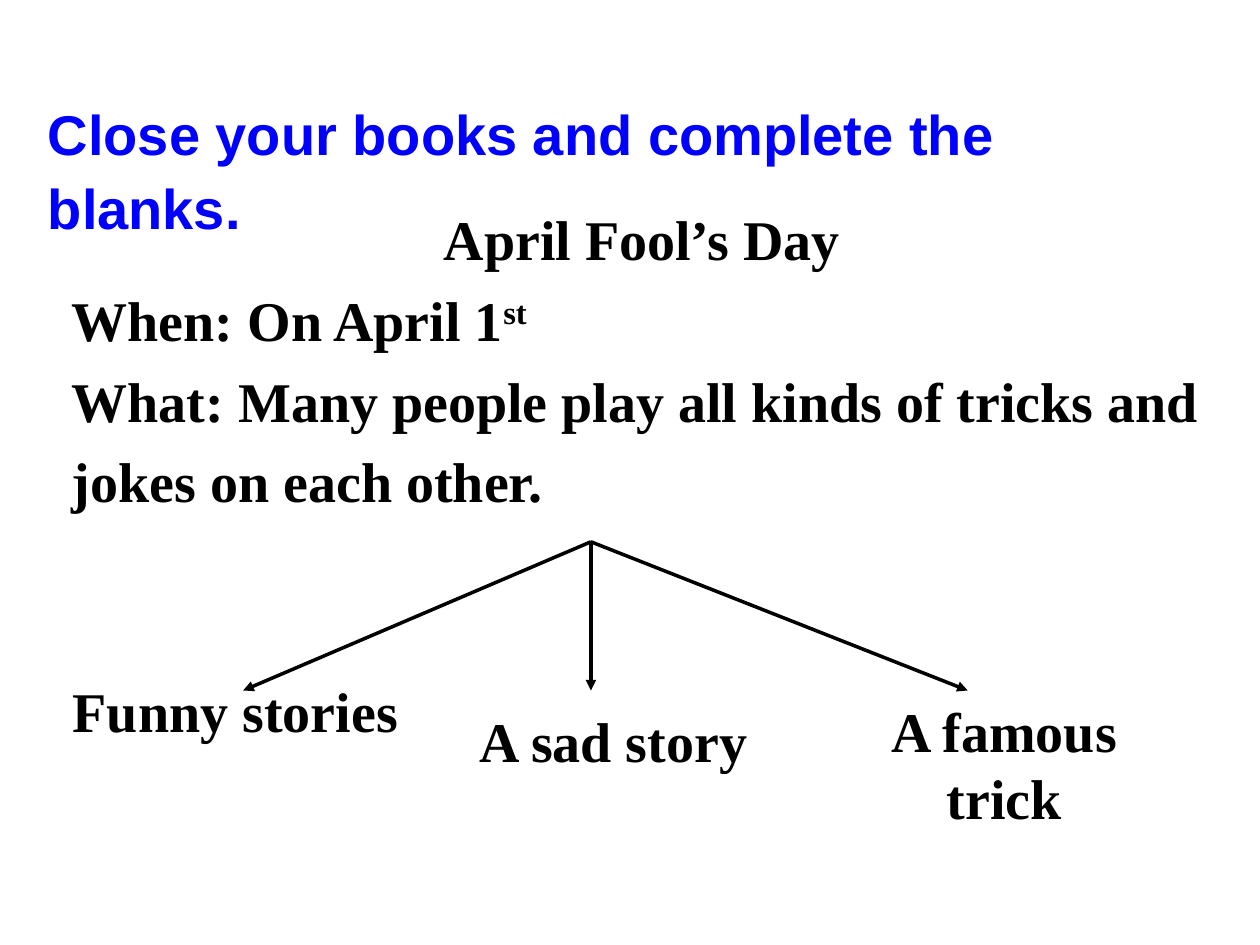
from lxml.etree import SubElement
from pptx import Presentation
from pptx.dml.color import RGBColor
from pptx.enum.shapes import MSO_CONNECTOR
from pptx.enum.text import MSO_ANCHOR, MSO_AUTO_SIZE, PP_ALIGN
from pptx.oxml.ns import qn
from pptx.util import Inches, Pt

THEME = {
    "title": {"name": "Arial", "size": Pt(32), "bold": True, "color": RGBColor(0, 0, 255)},
    "body": {"name": "Times New Roman", "size": Pt(32), "bold": True, "color": RGBColor(0, 0, 0)},
    "line": {"width": Pt(2), "color": RGBColor(0, 0, 0)},
}

TITLE = [(PP_ALIGN.LEFT, [("Close your books and complete the blanks.", False)])]
SUMMARY = [
    (PP_ALIGN.CENTER, [("April Fool’s Day", False)]),
    (PP_ALIGN.LEFT, [("When: On April 1", False), ("st", True)]),
    (PP_ALIGN.LEFT, [("What: Many people play all kinds of tricks and jokes on each other.", False)]),
]
BRANCHES = [
    ("Funny stories", 0.47, 5.32, 1.26, 1.93),
    ("A sad story", 3.47, 5.56, 0.63, 4.69),
    ("A famous trick", 6.57, 5.48, 1.26, 7.68),
]
BRANCH_WIDTH = 2.8
FORK = (4.69, 4.3)
ARROW_BOTTOM = 5.48


def place(sp, left, top, width, height):
    box = {"left": left, "top": top, "width": width, "height": height}
    for key, value in box.items():
        setattr(sp, key, Inches(value))


def write(sp, paragraphs, style, spacing=1.0):
    tf = sp.text_frame
    frame = {"word_wrap": True, "auto_size": MSO_AUTO_SIZE.NONE, "vertical_anchor": MSO_ANCHOR.TOP}
    for key, value in frame.items():
        setattr(tf, key, value)
    for i, (align, runs) in enumerate(paragraphs):
        p = tf.paragraphs[0] if i == 0 else tf.add_paragraph()
        layout = {"alignment": align, "line_spacing": spacing, "space_before": Pt(0)}
        for key, value in layout.items():
            setattr(p, key, value)
        pPr = p._p.get_or_add_pPr()
        pPr.set("marL", "0")
        pPr.set("indent", "0")
        SubElement(pPr, qn("a:buNone"))
        for text, raised in runs:
            r = p.add_run()
            r.text = text
            for key in ("name", "size", "bold"):
                setattr(r.font, key, style[key])
            r.font.color.rgb = style["color"]
            if raised:
                r._r.get_or_add_rPr().set("baseline", "30000")


def add_arrow(s, start, end):
    cn = s.shapes.add_connector(MSO_CONNECTOR.STRAIGHT, *map(Inches, start + end))
    cn.line.width = THEME["line"]["width"]
    cn.line.color.rgb = THEME["line"]["color"]
    SubElement(cn.line._get_or_add_ln(), qn("a:tailEnd"), type="triangle")
    SubElement(cn._element.spPr, qn("a:effectLst"))


prs = Presentation()
prs.slide_width, prs.slide_height = Inches(10), Inches(7.5)
s = prs.slides.add_slide(prs.slide_layouts[1])

body = s.placeholders[1]
place(body, 0.47, 1.47, 9.25, 2.68)
write(body, SUMMARY, THEME["body"], 1.2)

for label, left, top, height, arrow_x in BRANCHES:
    sp = s.shapes.add_textbox(*map(Inches, (left, top, BRANCH_WIDTH, height)))
    write(sp, [(PP_ALIGN.CENTER, [(label, False)])], THEME["body"])
    add_arrow(s, FORK, (arrow_x, ARROW_BOTTOM))

title = s.shapes.title
place(title, 0.28, 0.69, 9.29, 0.79)
write(title, TITLE, THEME["title"], 1.1)

prs.save("out.pptx")
